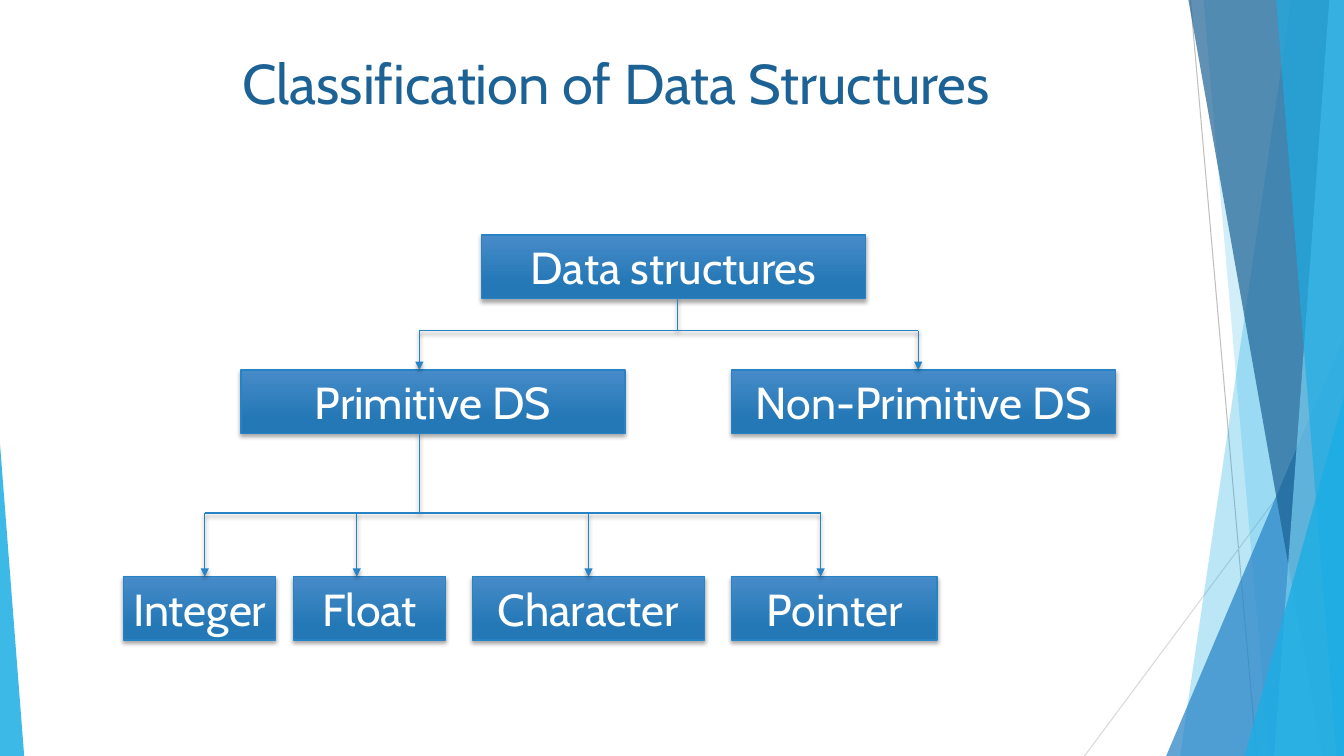
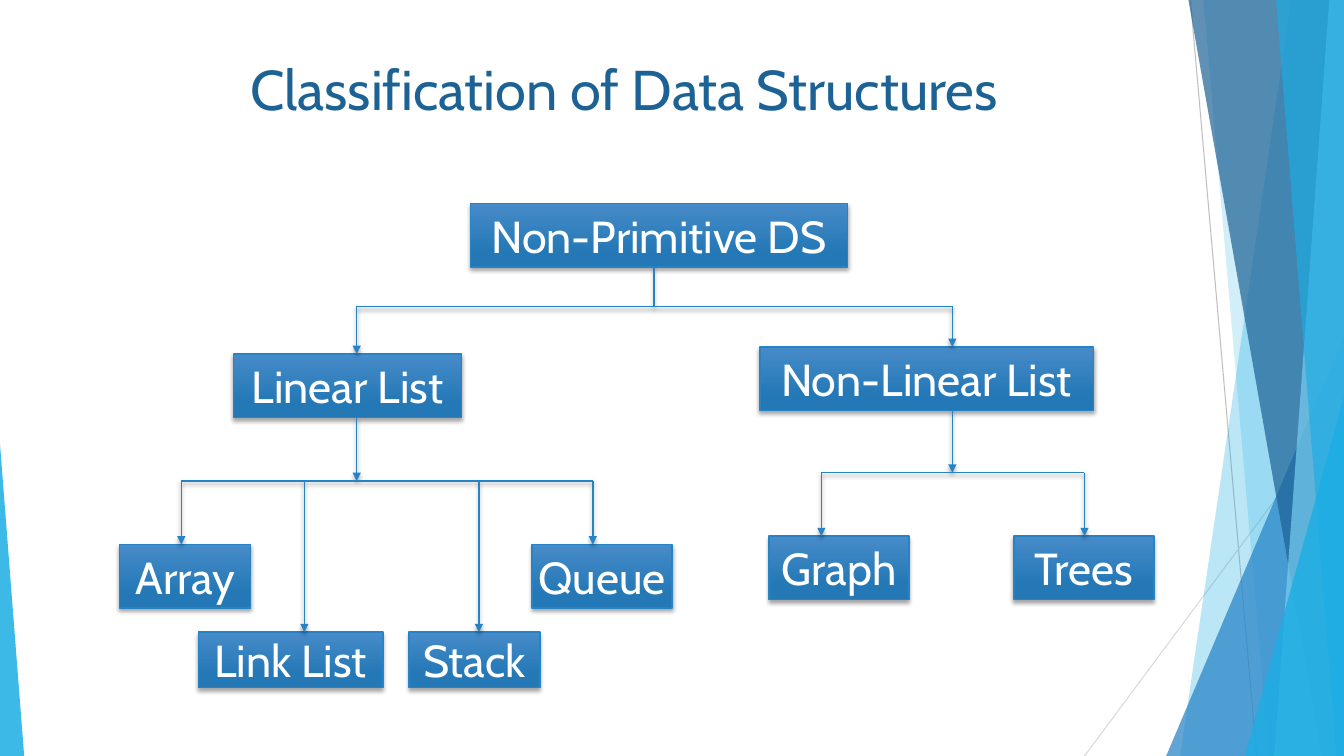
"""Build two slides that classify data structures as tree diagrams."""
from dataclasses import dataclass

from lxml.etree import SubElement
from pptx import Presentation
from pptx.dml.color import RGBColor
from pptx.enum.shapes import MSO_CONNECTOR, MSO_SHAPE
from pptx.enum.text import MSO_ANCHOR, MSO_AUTO_SIZE, PP_ALIGN
from pptx.oxml.ns import qn
from pptx.util import Cm, Pt

WIDTH, HEIGHT = 33.87, 19.05
FONT = "Cabin"
SKY, BLUE, NAVY, PALE, WHITE = "1CADE4", "2683C6", "1D6294", "77CEEF", "FFFFFF"
GRADIENT = ((0, "478BC9"), (0.78, "2378B5"))


@dataclass(frozen=True)
class Ray:
    """A thin grey line of the backdrop."""
    start: tuple[float, float]
    end: tuple[float, float]
    colour: str


@dataclass(frozen=True)
class Band:
    """A translucent band that reaches the right edge."""
    top_x: float
    bottom_x: float
    colour: str
    opacity: int


@dataclass(frozen=True)
class Wedge:
    """A translucent right triangle that stands on the bottom edge."""
    left: float
    top: float
    width: float
    apex: float
    colour: str
    opacity: int


@dataclass(frozen=True)
class Node:
    """A labelled box of a tree."""
    text: str
    left: float
    top: float
    width: float
    height: float = 1.6


@dataclass(frozen=True)
class Branch:
    """A stem, a crossbar and arrows down to the children."""
    stem_x: float
    top: float
    bar_y: float
    drops: tuple[tuple[float, float], ...]
    stem_arrow: bool = False


@dataclass(frozen=True)
class Tree:
    """The content of one slide."""
    title_box: tuple[float, float, float, float]
    nodes: tuple[Node, ...]
    branches: tuple[Branch, ...]


TITLE = "Classification of Data Structures"
BACKDROP = (
    Ray((30, 0), (31.67, HEIGHT), "BFBFBF"),
    Ray((WIDTH, 10.26), (27.33, HEIGHT), "D9D9D9"),
    Band(32.54, 29.74, SKY, 30),
    Band(30.33, 31.98, SKY, 20),
    Wedge(29.39, 8.48, 4.48, 1, BLUE, 72),
    Band(29.95, 33.32, NAVY, 70),
    Band(33.5, 32.11, PALE, 70),
    Band(32.16, 33.68, SKY, 65),
    Wedge(31.37, 10, 2.5, 1, SKY, 80),
    Wedge(0, 11.18, 0.61, 0, SKY, 85),
)
TREES = (
    Tree(
        (3.58, 1.09, 23.88, 3.66),
        (
            Node("Data structures", 12.14, 5.92, 9.68),
            Node("Primitive DS", 6.07, 9.32, 9.68),
            Node("Non-Primitive DS", 18.44, 9.32, 9.68),
            Node("Integer", 3.12, 14.53, 3.83),
            Node("Float", 7.4, 14.53, 3.83),
            Node("Character", 11.91, 14.53, 5.84),
            Node("Pointer", 18.44, 14.53, 5.18),
        ),
        (
            Branch(17.07, 7.52, 8.33, ((10.57, 9.32), (23.14, 9.32))),
            Branch(10.57, 10.92, 12.93,
                   tuple((x, 14.53) for x in (5.16, 8.99, 14.83, 20.68))),
        ),
    ),
    Tree(
        (3.78, 1.24, 23.88, 2.46),
        (
            Node("Non-Primitive DS", 11.86, 5.13, 9.5),
            Node("Linear List", 5.89, 8.92, 5.74),
            Node("Non-Linear List", 19.15, 8.74, 8.41),
            Node("Array", 3.02, 13.72, 3.3),
            Node("Link List", 5, 15.93, 4.65, 1.4),
            Node("Stack", 10.31, 15.93, 3.3, 1.4),
            Node("Queue", 13.41, 13.72, 3.53),
            Node("Graph", 19.38, 13.51, 3.53),
            Node("Trees", 25.55, 13.51, 3.53),
        ),
        (
            Branch(16.48, 6.73, 7.72, ((8.99, 8.92), (24, 8.74))),
            Branch(8.99, 10.52, 12.12,
                   ((4.57, 13.72), (7.67, 15.93), (12.07, 15.93), (14.94, 13.72)), True),
            Branch(24, 10.31, 11.91, ((20.7, 13.51), (27.33, 13.51)), True),
        ),
    ),
)


def paint(target, colour: str) -> None:
    """Give a colour object a hex colour."""
    target.rgb = RGBColor.from_string(colour)


def fill_translucent(shape, colour: str, opacity: int) -> None:
    """Fill a shape with a see-through colour and no outline."""
    shape.shadow.inherit = False
    shape.fill.solid()
    paint(shape.fill.fore_color, colour)
    shape.line.fill.background()
    tint = shape.element.find(qn("p:spPr")).find(qn("a:solidFill")).find(qn("a:srgbClr"))
    SubElement(tint, qn("a:alpha"), val=str(opacity * 1000))


def cast_shadow(effects) -> None:
    """Put a soft downward shadow into an effect list."""
    shadow = SubElement(effects, qn("a:outerShdw"), blurRad=str(Pt(3)), dist=str(Pt(2)),
                        dir="5400000", algn="ctr", rotWithShape="0")
    tint = SubElement(shadow, qn("a:srgbClr"), val="000000")
    SubElement(tint, qn("a:alpha"), val="35000")


def add_line(page, start: tuple[float, float], end: tuple[float, float], colour: str,
             weight: float, arrow: bool = False, shadowed: bool = False):
    """Draw a straight line, with an arrowhead or a shadow on request."""
    line = page.shapes.add_connector(
        MSO_CONNECTOR.STRAIGHT, *(Cm(value) for value in (*start, *end)))
    paint(line.line.color, colour)
    line.line.width = Pt(weight)
    properties = line.element.find(qn("p:spPr"))
    if arrow:
        SubElement(properties.find(qn("a:ln")), qn("a:tailEnd"), type="triangle")
    effects = SubElement(properties, qn("a:effectLst"))
    if shadowed:
        cast_shadow(effects)
    return line


def add_part(page, part: Ray | Band | Wedge):
    """Draw one part of the backdrop."""
    if isinstance(part, Ray):
        return add_line(page, part.start, part.end, part.colour, 0.75)
    if isinstance(part, Band):
        outline = page.shapes.build_freeform(Cm(part.top_x), 0)
        corners = ((WIDTH, 0), (WIDTH, HEIGHT), (part.bottom_x, HEIGHT))
        outline.add_line_segments([(Cm(x), Cm(y)) for x, y in corners])
        shape = outline.convert_to_shape()
    else:
        shape = page.shapes.add_shape(
            MSO_SHAPE.ISOSCELES_TRIANGLE, Cm(part.left), Cm(part.top),
            Cm(part.width), Cm(HEIGHT - part.top))
        shape.adjustments[0] = part.apex
    fill_translucent(shape, part.colour, part.opacity)
    return shape


def add_backdrop(page) -> None:
    """Draw the backdrop and hand it to the layout that the slides share."""
    tree = page.slide_layout.shapes.element
    for index, part in enumerate(BACKDROP):
        element = add_part(page, part).element
        element.xpath(".//p:cNvPr")[0].set("id", str(100 + index))
        tree.insert(2 + index, element)


def write(frame, text: str, size: int, colour: str) -> None:
    """Write one centred run into a text frame."""
    para = frame.paragraphs[0]
    para.alignment = PP_ALIGN.CENTER
    span = para.add_run()
    span.text = text
    span.font.name = FONT
    span.font.size = Pt(size)
    paint(span.font.color, colour)


def add_title(page, place: tuple[float, float, float, float]) -> None:
    """Place and fill the title."""
    title = page.shapes.title
    title.left, title.top, title.width, title.height = (Cm(value) for value in place)
    title.text_frame.vertical_anchor = MSO_ANCHOR.TOP
    title.text_frame.auto_size = MSO_AUTO_SIZE.NONE
    write(title.text_frame, TITLE, 40, NAVY)


def add_node(page, node: Node) -> None:
    """Draw a labelled gradient box."""
    box = page.shapes.add_shape(
        MSO_SHAPE.RECTANGLE, Cm(node.left), Cm(node.top), Cm(node.width), Cm(node.height))
    box.fill.gradient()
    box.fill.gradient_angle = 270
    for stop, (position, colour) in zip(box.fill.gradient_stops, GRADIENT):
        stop.position = position
        paint(stop.color, colour)
    paint(box.line.color, BLUE)
    box.line.width = Pt(1)
    box.shadow.inherit = False
    cast_shadow(box.element.find(qn("p:spPr")).find(qn("a:effectLst")))
    box.text_frame.word_wrap = False
    box.text_frame.vertical_anchor = MSO_ANCHOR.MIDDLE
    write(box.text_frame, node.text, 32, WHITE)


def add_branch(page, branch: Branch) -> None:
    """Draw the stem, the crossbar and the arrows of a branch."""
    bar_y = branch.bar_y
    columns = [x for x, _ in branch.drops]
    segments = [
        ((branch.stem_x, branch.top), (branch.stem_x, bar_y), branch.stem_arrow),
        ((min(columns), bar_y), (max(columns), bar_y), False),
        *(((x, bar_y), (x, bottom), True) for x, bottom in branch.drops),
    ]
    for start, end, arrow in segments:
        add_line(page, start, end, BLUE, 1, arrow, shadowed=True)


def main() -> None:
    """Build and save the deck."""
    deck = Presentation()
    deck.slide_width, deck.slide_height = Cm(WIDTH), Cm(HEIGHT)
    layout = deck.slide_layouts.get_by_name("Title Only")
    pages = [deck.slides.add_slide(layout) for _ in TREES]
    add_backdrop(pages[0])
    for page, tree in zip(pages, TREES):
        add_title(page, tree.title_box)
        for node in tree.nodes:
            add_node(page, node)
        for branch in tree.branches:
            add_branch(page, branch)
    deck.save("out.pptx")


if __name__ == "__main__":
    main()
